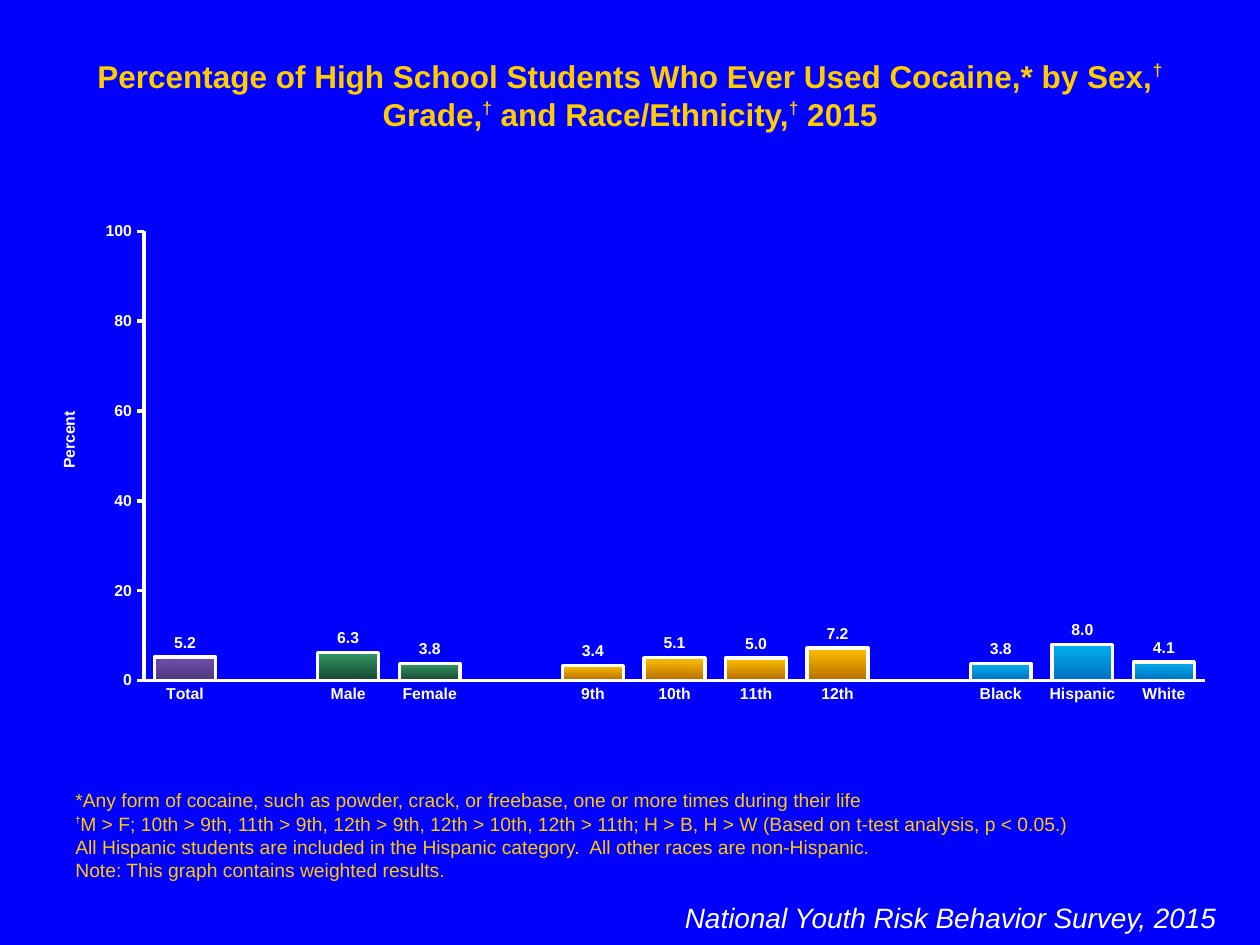
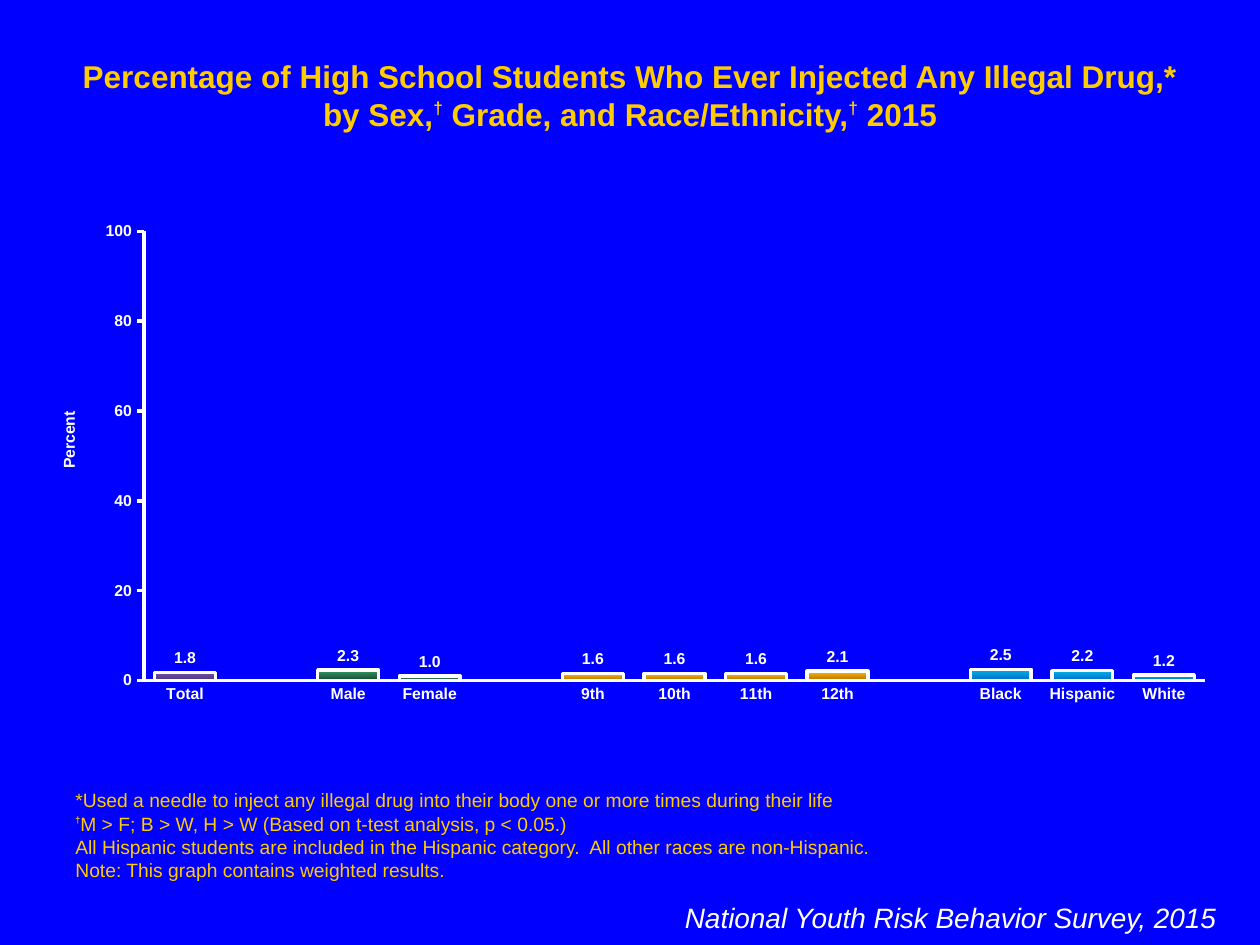
from dataclasses import dataclass

from lxml.etree import SubElement
from pptx import Presentation
from pptx.chart.axis import _BaseAxis as Axis
from pptx.chart.chart import Chart
from pptx.chart.data import CategoryChartData as ChartData
from pptx.chart.series import BarSeries
from pptx.dml.color import RGBColor
from pptx.enum.chart import XL_CHART_TYPE as ChartType
from pptx.enum.chart import XL_LABEL_POSITION as LabelPosition
from pptx.enum.chart import XL_TICK_MARK as TickMark
from pptx.enum.text import MSO_ANCHOR as Anchor
from pptx.enum.text import MSO_AUTO_SIZE as AutoSize
from pptx.enum.text import PP_ALIGN as Align
from pptx.oxml.ns import qn
from pptx.slide import Slide
from pptx.text.text import Font
from pptx.util import Cm, Pt

COLORS = {
    "background": "0000FF",
    "gold": "FFCC00",
    "white": "FFFFFF",
    "series": "26CA59",
}
GRADIENTS = {
    "total": ("6E4EAE", "4F387C"),
    "sex": ("339966", "18472F"),
    "grade": ("FFC000", "B66D00"),
    "race": ("00B0F0", "0070C0"),
}
GROUPS = {
    "total": ["Total"],
    "sex": ["Male", "Female"],
    "grade": ["9th", "10th", "11th", "12th"],
    "race": ["Black", "Hispanic", "White"],
}
FONT = "Arial"
DAGGER = "†"
SOURCE = "National Youth Risk Behavior Survey, 2015"
COMMON_NOTES = [
    "All Hispanic students are included in the Hispanic category.  All other races are non-Hispanic.",
    "Note: This graph contains weighted results.",
]


@dataclass(frozen=True)
class Frame:
    left: float
    top: float
    width: float
    height: float

    def lengths(self) -> tuple[Cm, Cm, Cm, Cm]:
        return Cm(self.left), Cm(self.top), Cm(self.width), Cm(self.height)


@dataclass(frozen=True)
class SurveySlide:
    title: str
    notes: list[str]
    values: dict[str, list[float]]


TITLE_FRAME = Frame(1.27, 1.02, 22.86, 1.02)
NOTES_FRAME = Frame(1.27, 17.15, 22.86, 0.74)
SOURCE_FRAME = Frame(10.8, 18.03, 13.97, 1.63)
CHART_FRAME = Frame(0.64, 4.29, 24.13, 10.11)

SURVEY_SLIDES = [
    SurveySlide(
        "Percentage of High School Students Who Ever Used Cocaine,* by Sex,† Grade,† and Race/Ethnicity,† 2015",
        [
            "*Any form of cocaine, such as powder, crack, or freebase, one or more times during their life",
            "†M > F; 10th > 9th, 11th > 9th, 12th > 9th, 12th > 10th, 12th > 11th; H > B, H > W (Based on t-test analysis, p < 0.05.)",
        ],
        {"total": [5.2], "sex": [6.3, 3.8], "grade": [3.4, 5.1, 5.0, 7.2], "race": [3.8, 8.0, 4.1]},
    ),
    SurveySlide(
        "Percentage of High School Students Who Ever Injected Any Illegal Drug,* by Sex,† Grade, and Race/Ethnicity,† 2015",
        [
            "*Used a needle to inject any illegal drug into their body one or more times during their life",
            "†M > F; B > W, H > W (Based on t-test analysis, p < 0.05.)",
        ],
        {"total": [1.8], "sex": [2.3, 1.0], "grade": [1.6, 1.6, 1.6, 2.1], "race": [2.5, 2.2, 1.2]},
    ),
]


def rgb(name: str) -> RGBColor:
    return RGBColor.from_string(COLORS[name])


def style_font(font: Font, size: float, color: str, bold: bool = False, italic: bool = False) -> None:
    font.name = FONT
    font.size = Pt(size)
    font.bold = bold
    font.italic = italic
    font.color.rgb = rgb(color)


def add_text(
    slide: Slide,
    frame: Frame,
    lines: list[str],
    *,
    size: float,
    color: str,
    bold: bool = False,
    italic: bool = False,
    align: Align = Align.LEFT,
    anchor: Anchor = Anchor.TOP,
    dagger_size: float = 9,
    dagger_rise: int = 50,
) -> None:
    box = slide.shapes.add_textbox(*frame.lengths())
    text = box.text_frame
    text.word_wrap = True
    text.auto_size = AutoSize.SHAPE_TO_FIT_TEXT
    text.vertical_anchor = anchor
    for index, line in enumerate(lines):
        para = text.paragraphs[0] if index == 0 else text.add_paragraph()
        para.alignment = align
        for part in line.replace(DAGGER, f"\n{DAGGER}\n").split("\n"):
            if not part:
                continue
            span = para.add_run()
            span.text = part
            raised = part == DAGGER
            style_font(span.font, dagger_size if raised else size, color, bold or raised, italic)
            if raised:
                span._r.get_or_add_rPr().set("baseline", str(dagger_rise * 1000))


def set_layout(parent, index: int, **settings: object) -> None:
    for old in parent.findall(qn("c:layout")):
        parent.remove(old)
    layout = SubElement(parent, qn("c:layout"))
    manual = SubElement(layout, qn("c:manualLayout"))
    for name, value in settings.items():
        SubElement(manual, qn(f"c:{name}")).set("val", str(value))
    parent.insert(index, layout)


def style_axis(axis: Axis, tick: TickMark) -> None:
    axis.has_major_gridlines = False
    axis.major_tick_mark = tick
    axis.minor_tick_mark = TickMark.NONE
    axis.format.line.color.rgb = rgb("white")
    axis.format.line.width = Pt(2)
    style_font(axis.tick_labels.font, 9, "white", bold=True)


def style_axes(chart: Chart) -> None:
    style_axis(chart.category_axis, TickMark.NONE)
    percent_axis = chart.value_axis
    style_axis(percent_axis, TickMark.OUTSIDE)
    percent_axis.minimum_scale = 0
    percent_axis.maximum_scale = 100
    percent_axis.major_unit = 20
    title = percent_axis.axis_title
    title.text_frame.text = "Percent"
    style_font(title.text_frame.paragraphs[0].runs[0].font, 9, "white", bold=True)
    body = title.element.find(".//" + qn("a:bodyPr"))
    body.set("rot", "-5400000")
    body.set("vert", "horz")
    set_layout(title.element, 1, xMode="edge", yMode="edge", x=0.02, y=0.39)


def style_bars(series: BarSeries, bar_groups: list[str | None]) -> None:
    series.invert_if_negative = False
    series.format.fill.solid()
    series.format.fill.fore_color.rgb = rgb("series")
    series.format.line.color.rgb = rgb("white")
    series.format.line.width = Pt(2)
    for index, group in enumerate(bar_groups):
        if group is None:
            continue
        bar = series.points[index].format
        bar.fill.gradient()
        bar.fill.gradient_angle = 270
        for stop, color in zip(bar.fill.gradient_stops, GRADIENTS[group]):
            stop.color.rgb = RGBColor.from_string(color)
        bar.line.color.rgb = rgb("white")
        bar.line.width = Pt(2)
    labels = series.data_labels
    labels.show_value = True
    labels.number_format = "#,##0.0"
    labels.number_format_is_linked = False
    labels.position = LabelPosition.OUTSIDE_END
    style_font(labels.font, 9, "white", bold=True)


def add_percent_chart(slide: Slide, values: dict[str, list[float]]) -> None:
    categories: list[str] = []
    heights: list[float | None] = []
    bar_groups: list[str | None] = []
    for group, names in GROUPS.items():
        if categories:
            categories.append("")
            heights.append(None)
            bar_groups.append(None)
        categories += names
        heights += values[group]
        bar_groups += [group] * len(names)
    data = ChartData()
    data.categories = categories
    data.add_series("Series 1", heights)
    chart = slide.shapes.add_chart(ChartType.COLUMN_CLUSTERED, *CHART_FRAME.lengths(), data).chart
    chart.has_title = False
    chart.has_legend = False
    style_font(chart.font, 18, "white")
    plot = chart.plots[0]
    plot.vary_by_categories = False
    plot.gap_width = 34
    plot.overlap = 100
    style_axes(chart)
    style_bars(plot.series[0], bar_groups)
    set_layout(
        chart.element.find(".//" + qn("c:plotArea")),
        0,
        layoutTarget="inner",
        xMode="edge",
        yMode="edge",
        x=0.094,
        y=0.037,
        w=0.886,
        h=0.896,
    )


def add_survey_slide(deck: Presentation, survey: SurveySlide) -> None:
    slide = deck.slides.add_slide(deck.slide_layouts[6])
    add_text(
        slide, TITLE_FRAME, [survey.title], size=18, color="gold", bold=True,
        align=Align.CENTER, dagger_size=17, dagger_rise=40,
    )
    add_text(
        slide, NOTES_FRAME, survey.notes + COMMON_NOTES, size=11, color="gold", anchor=Anchor.BOTTOM,
    )
    add_text(
        slide, SOURCE_FRAME, [SOURCE], size=16, color="white", italic=True, align=Align.RIGHT,
    )
    add_percent_chart(slide, survey.values)


def main() -> None:
    deck = Presentation()
    deck.slide_width = Cm(25.4)
    deck.slide_height = Cm(19.05)
    backdrop = deck.slide_master.background.fill
    backdrop.solid()
    backdrop.fore_color.rgb = rgb("background")
    for survey in SURVEY_SLIDES:
        add_survey_slide(deck, survey)
    deck.save("out.pptx")


if __name__ == "__main__":
    main()
